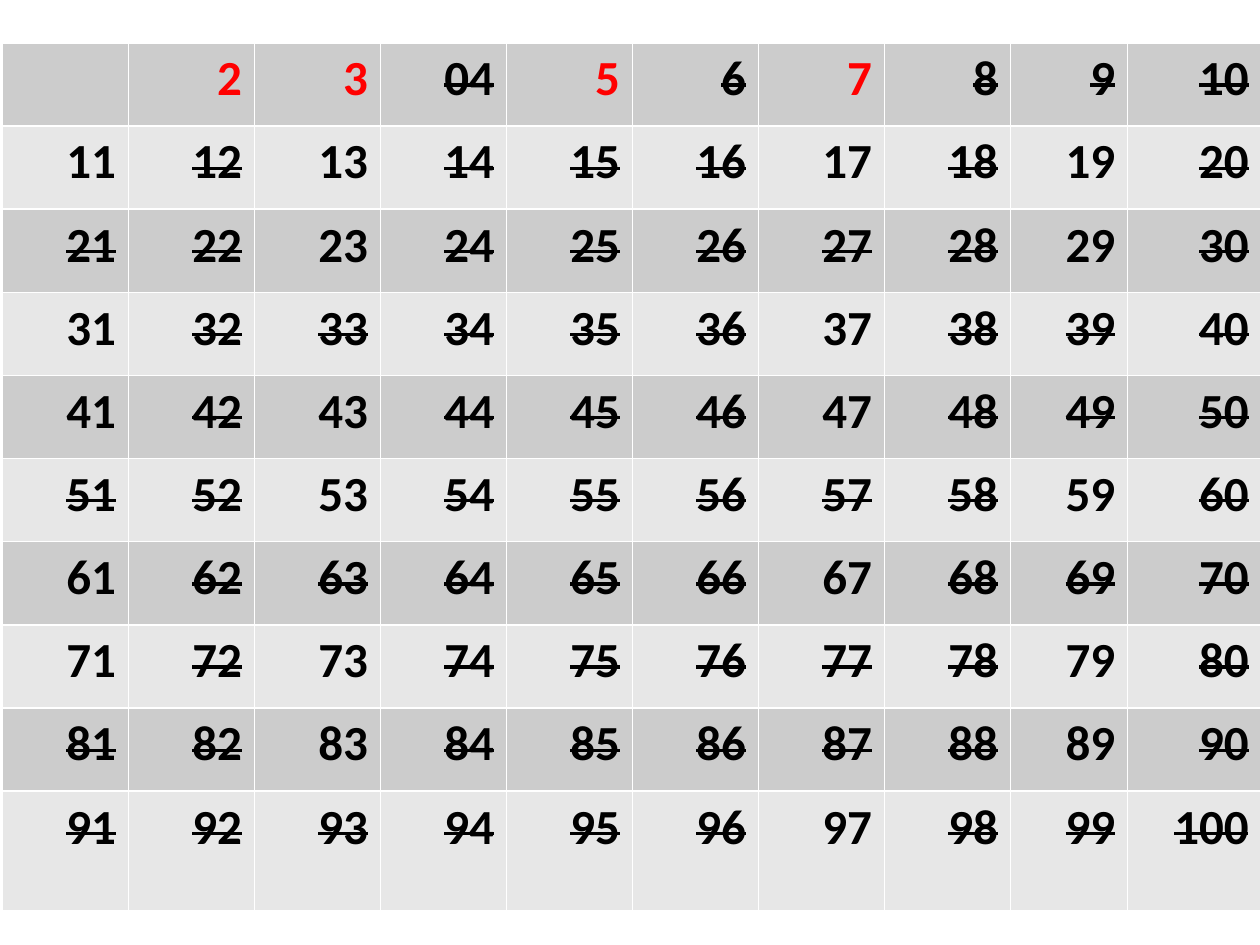
"""Build a slide with the sieve of Eratosthenes for the numbers up to 100."""
from lxml import etree
from pptx import Presentation
from pptx import util as u
from pptx.dml import color
from pptx.enum import text
from pptx.oxml import ns

HUES = {"dark": "CCCCCC", "light": "E7E7E7", "seed": "FF0000", "ink": "000000", "edge": "FFFFFF"}
SEEDS = (2, 3, 5, 7)
WIDTHS = [1] * 8 + [0.93, 1.06]
HEIGHTS = [0.66] * 9 + [0.95]
FONT = {"name": "Calibri", "size": u.Pt(28), "bold": True}
FLAGS = {"first_row": False, "horz_banding": False}


def hue(name):
    return color.RGBColor.from_string(HUES[name])


def edge(cell):
    props = cell._tc.get_or_add_tcPr()
    for side in ("lnL", "lnR", "lnT", "lnB"):
        line = etree.SubElement(props, ns.qn(f"a:{side}"), w=str(u.Pt(1)))
        fill = etree.SubElement(line, ns.qn("a:solidFill"))
        etree.SubElement(fill, ns.qn("a:srgbClr"), val=HUES["edge"])


deck = Presentation()
deck.slide_width, deck.slide_height = u.Inches(10), u.Inches(7.5)
slide = deck.slides.add_slide(deck.slide_layouts[6])
frame = slide.shapes.add_table(
    10, 10, u.Inches(0.02), u.Inches(0.34), u.Inches(9.98), u.Inches(6.87))
grid = frame.table
for key, value in FLAGS.items():
    setattr(grid, key, value)
for col, width in zip(grid.columns, WIDTHS):
    col.width = u.Inches(width)
for row, height in zip(grid.rows, HEIGHTS):
    row.height = u.Inches(height)

for index, cell in enumerate(grid.iter_cells()):
    num = index + 1
    edge(cell)
    cell.fill.solid()
    cell.fill.fore_color.rgb = hue("light" if index // 10 % 2 else "dark")
    if num == 1:
        continue
    para = cell.text_frame.paragraphs[0]
    para.alignment = text.PP_ALIGN.RIGHT
    run = para.add_run()
    run.text = "04" if num == 4 else str(num)
    for key, value in FONT.items():
        setattr(run.font, key, value)
    run.font.color.rgb = hue("seed" if num in SEEDS else "ink")
    if num not in SEEDS and any(num % seed == 0 for seed in SEEDS):
        run._r.get_or_add_rPr().set("strike", "sngStrike")

deck.save("out.pptx")
